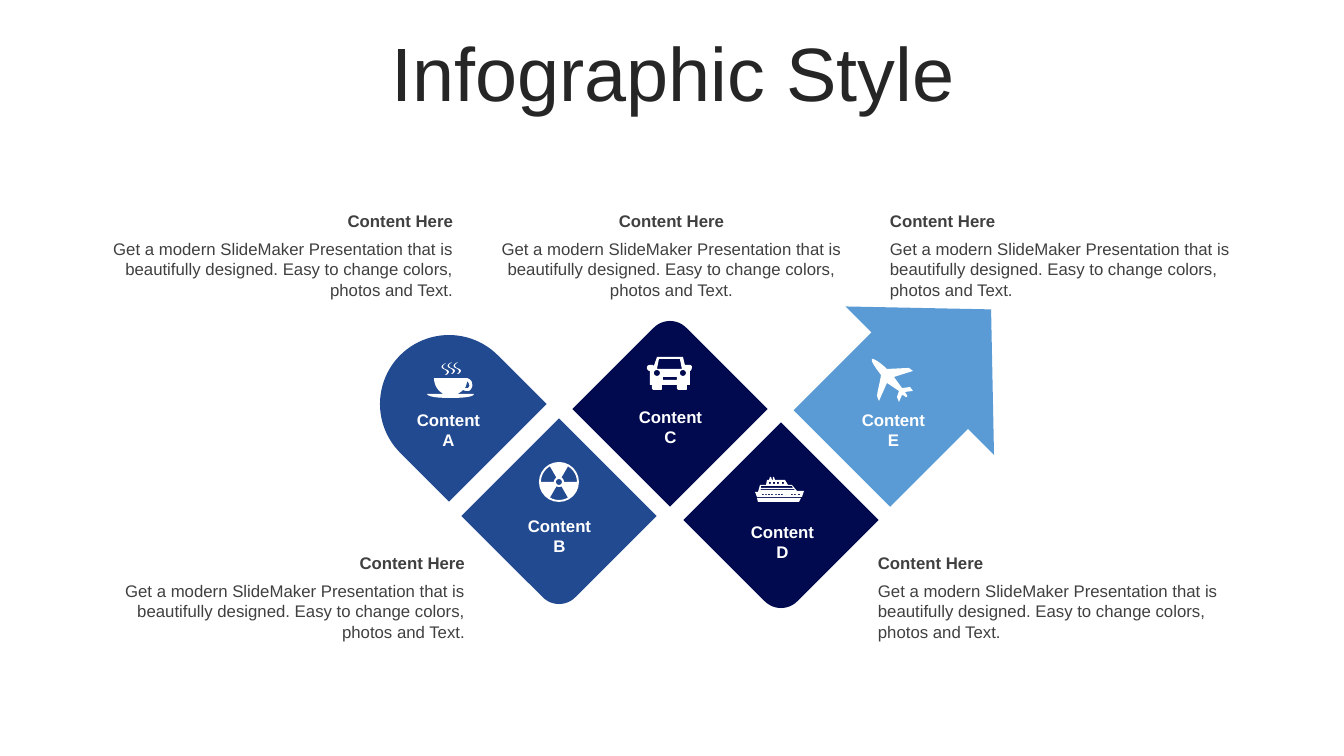
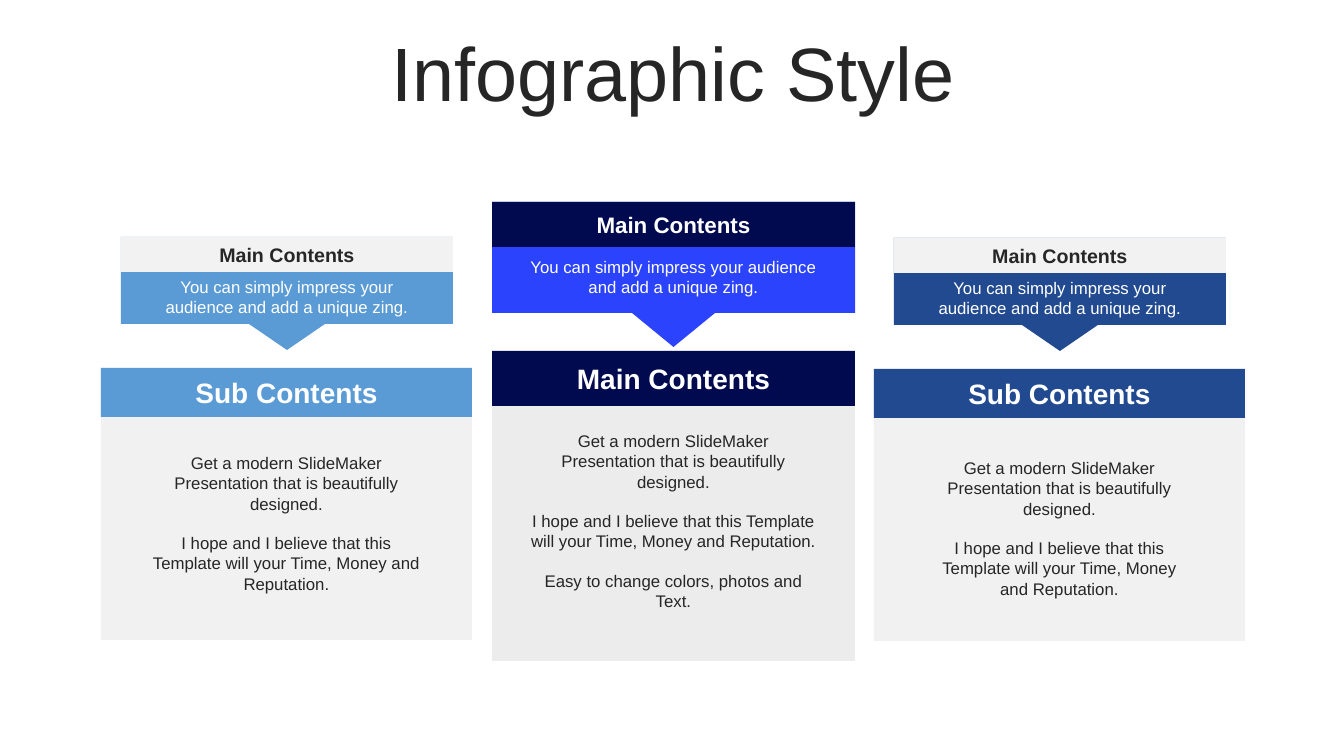
from math import cos, radians, sin

from lxml.etree import SubElement
from pptx import Presentation
from pptx.dml.color import RGBColor
from pptx.enum.shapes import MSO_SHAPE
from pptx.enum.text import MSO_ANCHOR, MSO_AUTO_SIZE, PP_ALIGN
from pptx.oxml.ns import qn
from pptx.util import Emu, Pt

SCALE = 914400 / 100.8
FONT = "Arial"

WHITE = RGBColor(0xFF, 0xFF, 0xFF)
INK = RGBColor(0x26, 0x26, 0x26)
GREY = RGBColor(0x40, 0x40, 0x40)
PALE = RGBColor(0xF2, 0xF2, 0xF2)
PANEL = RGBColor(0xEC, 0xEC, 0xEC)
BLUE = RGBColor(0x22, 0x4A, 0x90)
NAVY = RGBColor(0x01, 0x0A, 0x4F)
SKY = RGBColor(0x5A, 0x9B, 0xD5)
VIVID = RGBColor(0x2B, 0x43, 0xFC)

LEFT, CENTER, RIGHT = PP_ALIGN.LEFT, PP_ALIGN.CENTER, PP_ALIGN.RIGHT
TOP, MIDDLE = MSO_ANCHOR.TOP, MSO_ANCHOR.MIDDLE

PITCH = "Get a modern SlideMaker Presentation that is beautifully designed."
EASY = "Easy to change colors, photos and Text."
HOPE = "I hope and I believe that this Template will your Time, Money and Reputation."
ZING = "You can simply impress your audience and add a unique zing."


def px(n):
    """Turn px into EMU."""
    return Emu(round(n * SCALE))


def write(shape, lines, size, color, bold=False, align=CENTER, anchor=MIDDLE, gap=0):
    """Fill a shape's text frame with formatted paragraphs."""
    tf = shape.text_frame
    frame = {"word_wrap": True, "auto_size": MSO_AUTO_SIZE.NONE, "vertical_anchor": anchor}
    for name, value in frame.items():
        setattr(tf, name, value)
    for i, line in enumerate(lines):
        p = tf.paragraphs[0] if i == 0 else tf.add_paragraph()
        p.text = line
        p.alignment = align
        if i:
            p.space_before = Pt(gap)
        for r in p.runs:
            for name, value in {"name": FONT, "size": Pt(size), "bold": bold}.items():
                setattr(r.font, name, value)
            r.font.color.rgb = color


def add_text(s, box, lines, size, color, **fmt):
    """Add a text box."""
    tb = s.shapes.add_textbox(*map(px, box))
    write(tb, lines, size, color, **fmt)


def paint(sp, color, alpha=None):
    """Give a shape a flat fill without line or shadow."""
    sp.shadow.inherit = False
    sp.fill.solid()
    sp.fill.fore_color.rgb = color
    sp.line.fill.background()
    if alpha:
        clr = sp.fill._xPr.find(qn("a:solidFill"))[0]
        SubElement(clr, qn("a:alpha")).set("val", str(alpha * 1000))
    return sp


def add_block(s, kind, box, color, alpha=None):
    """Add a preset shape."""
    return paint(s.shapes.add_shape(kind, *map(px, box)), color, alpha)


def add_outline(s, x, y, contours, color):
    """Add one freeform made of closed contours, placed from x, y."""
    fb = None
    for contour in contours:
        pts = [(px(x + a), px(y + b)) for a, b in contour]
        if fb is None:
            fb = s.shapes.build_freeform(*pts[0], scale=1.0)
        else:
            fb.move_to(*pts[0])
        fb.add_line_segments(pts[1:], close=True)
    return paint(fb.convert_to_shape(), color)


def trace(*steps):
    """Flatten points and cubic curves (six numbers) into one contour."""
    pts = [steps[0]]
    for step in steps[1:]:
        if len(step) == 2:
            pts.append(step)
            continue
        nodes = [pts[-1], step[:2], step[2:4], step[4:]]
        for t in (k / 6 for k in range(1, 7)):
            weights = ((1 - t) ** 3, 3 * t * (1 - t) ** 2, 3 * t * t * (1 - t), t ** 3)
            pts.append(tuple(sum(w * n[i] for w, n in zip(weights, nodes)) for i in (0, 1)))
    return pts


def arc(cx, cy, r, start=0, end=360):
    """Return points along a circle, angles in degrees."""
    angles = (radians(start + (end - start) * k / 24) for k in range(25))
    return [(cx + r * cos(a), cy + r * sin(a)) for a in angles]


def rect(x, y, w, h):
    """Return the corners of a rectangle."""
    return [(x, y), (x + w, y), (x + w, y + h), (x, y + h)]


def cup():
    """Contours of a steaming cup."""
    body = trace((40, 17), (43, 18, 45, 20, 45, 22), (46, 25, 45, 28, 42, 30),
                 (40, 30, 38, 30, 36, 29), (35, 30, 34, 31, 32, 32), (31, 33, 30, 33, 29, 33),
                 (47, 33), (47, 36, 36, 37, 24, 37), (11, 37, 1, 36, 0, 33), (19, 33),
                 (17, 33, 16, 33, 15, 32), (10, 29, 7, 23, 7, 17))
    hole = trace((40, 20), (40, 23, 39, 25, 38, 27), (39, 27, 40, 27, 41, 27),
                 (42, 26, 43, 25, 42, 23), (42, 22, 41, 21, 40, 20))
    steam = trace((19, 2), (17, 4, 16, 4, 16, 6), (17, 9, 22, 8, 22, 11),
                  (21, 13, 20, 14, 18, 14), (19, 13, 20, 13, 20, 11),
                  (20, 9, 16, 8, 15, 7), (14, 5, 15, 4, 19, 2))
    shifts = ((0, 0), (6, -1), (12, -1))
    return [body, hole] + [[(x + dx, y + dy) for x, y in steam] for dx, dy in shifts]


def trefoil():
    """Contours of a radiation sign."""
    blades = [arc(20, 20, 18, a, a + 60) + arc(20, 20, 5, a + 60, a) for a in (60, 180, 300)]
    return [arc(20, 20, 20), arc(20, 20, 3)] + blades


def car():
    """Contours of a car seen from the front."""
    body = trace((10, 0), (36, 0), (38, 8), (43, 8), (44, 8, 45, 9, 45, 10),
                 (45, 12, 44, 14, 43, 14), (43, 28), (40, 28), (40, 31), (40, 32, 40, 33, 39, 33),
                 (32, 33), (31, 33, 30, 32, 30, 31), (30, 28), (15, 28), (15, 31),
                 (15, 32, 15, 33, 14, 33), (7, 33), (6, 33, 5, 32, 5, 31), (5, 28), (3, 28),
                 (3, 14), (1, 14, 0, 12, 0, 11), (0, 9, 1, 8, 3, 8), (6, 8), (7, 9))
    screen = [(12, 2), (10, 12), (35, 12), (33, 2)]
    return [body, screen, rect(16, 20, 14, 3), arc(10, 16, 3), arc(36, 16, 3)]


def ship():
    """Contours of a cruise ship."""
    top = [(18, 0), (19, 0), (20, 3), (30, 3), (33, 8), (37, 8), (42, 14), (49, 14), (47, 20),
           (2, 20), (0, 15), (3, 15), (5, 8), (11, 8), (12, 3), (14, 3), (15, 0), (16, 0),
           (17, 3), (18, 3)]
    hull = [(2, 21), (46, 21), (44, 25), (3, 25)]
    decks = [[(6, 12), (5, 13), (40, 13), (39, 12)], [(6, 9), (6, 11), (38, 11), (37, 9)]]
    ports = [rect(x, 17, 2, 1) for x in (7, 10, 13, 16, 20, 23, 26, 36, 39, 43)]
    windows = [rect(x, 5, 2, 2) for x in (14, 18, 22, 27)]
    return [top, hull] + decks + ports + windows


def plane():
    """Contours of an aeroplane."""
    return [trace((41, 32), (33, 33), (34, 35, 36, 37, 35, 38), (34, 39, 32, 36, 30, 36),
                  (27, 43), (25, 38), (27, 32), (15, 24), (7, 42), (5, 37),
                  (6, 29, 8, 24, 9, 16), (6, 12, -2, 2, 0, 0), (2, -1, 11, 6, 15, 10),
                  (37, 9), (41, 12), (22, 18), (30, 29), (32, 29, 38, 28, 38, 28))]


def new_slide(prs):
    """Add a slide with the shared title."""
    s = prs.slides.add_slide(prs.slide_layouts[5])
    title = s.shapes.title
    box = {"left": 35, "top": 37, "width": 1276, "height": 80}
    for name, value in box.items():
        setattr(title, name, px(value))
    write(title, ["Infographic Style"], 54, INK)
    title.text_frame.paragraphs[0].line_spacing = 0.9
    return s


def add_tile(s, box, kind, rot, color, letter, label_at, icon, icon_at, adj=()):
    """Add a turned tile with its label and icon."""
    x, y = box[:2]
    sp = add_block(s, kind, box, color)
    sp.rotation = rot
    for i, value in enumerate(adj):
        sp.adjustments[i] = value
    add_text(s, (x + label_at[0], y + label_at[1], 101, 50), [f"Content\v{letter}"], 12, WHITE,
             bold=True)
    add_outline(s, x + icon_at[0], y + icon_at[1], icon(), WHITE)


def add_caption(s, x, y, w, align):
    """Add a heading with its paragraph below."""
    add_text(s, (x, y, w, 30), ["Content Here"], 12, GREY, bold=True, align=align)
    add_text(s, (x, y + 28, w, 72), [f"{PITCH} {EASY}"], 12, GREY, align=align, anchor=TOP)


def add_callout(s, box, head_h, notch, tip, head, color, head_color, size, text_at):
    """Add a downward callout with a header strip."""
    x, y, w, h = box
    mid, half = w / 2, notch / 2
    add_outline(s, x, y, [[(0, 0), (w, 0), (w, h), (mid + half, h), (mid, h + tip),
                           (mid - half, h), (0, h)]], color)
    strip = add_block(s, MSO_SHAPE.RECTANGLE, (x, y, w, head_h), head)
    write(strip, ["Main Contents"], size, head_color, bold=True)
    inset, drop = text_at
    add_text(s, (x + inset, y + head_h + drop, w - 2 * inset, 50), [ZING], 12, WHITE, anchor=TOP)


def add_card(s, box, head_h, color, heading, lines, text_at, alpha=None):
    """Add a panel with a heading band and paragraphs."""
    x, y, w, h = box
    add_block(s, MSO_SHAPE.RECTANGLE, box, PANEL, alpha)
    band = add_block(s, MSO_SHAPE.RECTANGLE, (x, y, w, head_h), color)
    write(band, [heading], 20, WHITE, bold=True)
    inset, drop = text_at
    add_text(s, (x + inset, y + drop, w - 2 * inset, h - drop - 20), lines, 12, INK,
             anchor=TOP, gap=14)


def build_zigzag(prs):
    """Build the slide of five linked tiles."""
    s = new_slide(prs)
    round1 = MSO_SHAPE.ROUND_1_RECTANGLE
    round2 = MSO_SHAPE.ROUND_2_SAME_RECTANGLE
    arrow = MSO_SHAPE.RIGHT_ARROW
    for tile in (
        ((380, 335, 138, 138), round2, 315, BLUE, "A", (18, 70), cup, (47, 26), (0.5, 0)),
        ((490, 447, 138, 138), round1, 135, BLUE, "B", (19, 64), trefoil, (49, 15)),
        ((601, 340, 138, 138), round1, 315, NAVY, "C", (19, 62), car, (46, 17)),
        ((712, 451, 138, 138), round1, 135, NAVY, "D", (20, 66), ship, (43, 26)),
        ((811, 279, 211, 210), arrow, 315, SKY, "E", (32, 126), plane, (61, 80), (0.65, 0.48)),
    ):
        add_tile(s, *tile)
    for caption in ((77, 206, 386, RIGHT), (481, 206, 381, CENTER), (880, 206, 376, LEFT),
                    (78, 548, 397, RIGHT), (868, 548, 376, LEFT)):
        add_caption(s, *caption)


def build_columns(prs):
    """Build the slide of three columns."""
    s = new_slide(prs)
    for x, y, color, text_at in ((101, 368, SKY, (42, 80)), (874, 369, BLUE, (46, 84))):
        add_card(s, (x, y, 371, 272), 49, color, "Sub Contents", [PITCH, HOPE], text_at, 70)
        add_callout(s, (x + 20, y - 131, 332, 87), 35, 76, 26, PALE, color, INK, 14, (24, 0))
    add_card(s, (492, 351, 363, 310), 55, NAVY, "Main Contents", [PITCH, HOPE, EASY], (29, 75))
    add_callout(s, (492, 202, 363, 111), 45, 83, 34, NAVY, VIVID, WHITE, 16, (22, 5))


def main():
    """Build and save the presentation."""
    prs = Presentation()
    prs.slide_width, prs.slide_height = px(1344), px(756)
    build_zigzag(prs)
    build_columns(prs)
    prs.save("out.pptx")


if __name__ == "__main__":
    main()
